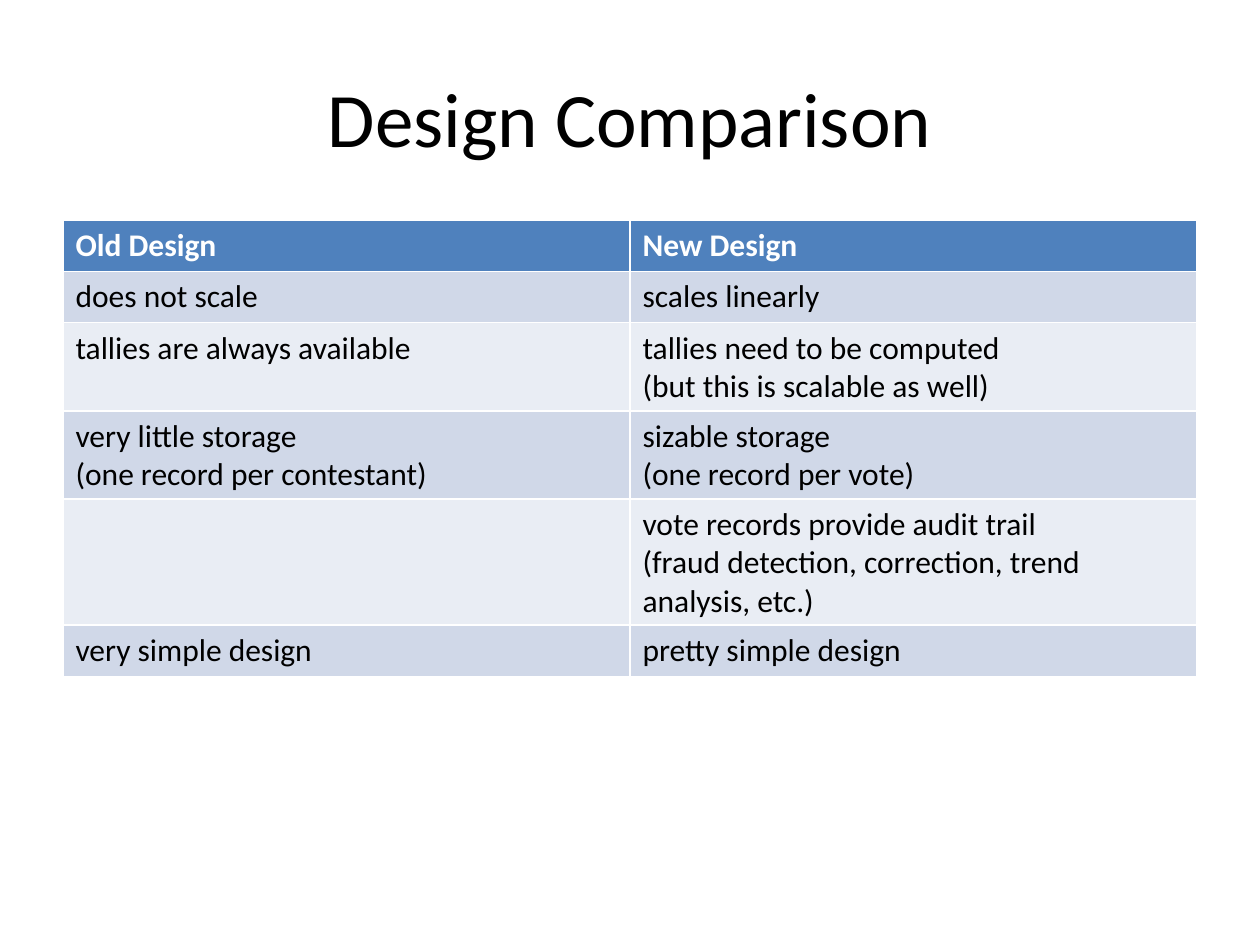
"""Build the Design Comparison slide: a title above a two-column table."""
from pptx import Presentation
from pptx.dml.color import RGBColor
from pptx.enum.text import MSO_ANCHOR, PP_ALIGN
from pptx.util import Pt

CENTER = PP_ALIGN.CENTER
MIDDLE = MSO_ANCHOR.MIDDLE
FONT = "Calibri"
HEADER_FILL = "4F81BD"
BAND_FILLS = ["E9EDF4", "D0D8E8"]
ROW_HEIGHT = 29.2

COMPARISON = [
    ("Old Design", "New Design"),
    ("does not scale", "scales linearly"),
    ("tallies are always available",
     "tallies need to be computed\n(but this is scalable as well)"),
    ("very little storage\n(one record per contestant)",
     "sizable storage\n(one record per vote)"),
    ("", "vote records provide audit trail\n"
         "(fraud detection, correction, trend analysis, etc.)"),
    ("very simple design", "pretty simple design"),
]


def style_font(paragraph, size, color, bold=False):
    paragraph.font.name = FONT
    paragraph.font.size = Pt(size)
    paragraph.font.bold = bold
    paragraph.font.color.rgb = RGBColor.from_string(color)


prs = Presentation()
prs.slide_width, prs.slide_height = Pt(720), Pt(540)
slide = prs.slides.add_slide(prs.slide_layouts[6])

title = slide.shapes.add_textbox(Pt(36), Pt(21.6), Pt(648), Pt(90)).text_frame
title.word_wrap = True
title.vertical_anchor = MIDDLE
title.text = "Design Comparison"
title.paragraphs[0].alignment = CENTER
style_font(title.paragraphs[0], 44, "000000")

comparison_table = slide.shapes.add_table(
    len(COMPARISON), 2, Pt(36), Pt(126), Pt(648), Pt(ROW_HEIGHT * len(COMPARISON))
).table

for row, entries in enumerate(COMPARISON):
    is_header = row == 0
    fill = HEADER_FILL if is_header else BAND_FILLS[row % 2]
    for column, entry in enumerate(entries):
        cell = comparison_table.cell(row, column)
        cell.fill.solid()
        cell.fill.fore_color.rgb = RGBColor.from_string(fill)
        cell.text = entry
        for paragraph in cell.text_frame.paragraphs:
            style_font(paragraph, 18, "FFFFFF" if is_header else "000000", is_header)

prs.save("out.pptx")
